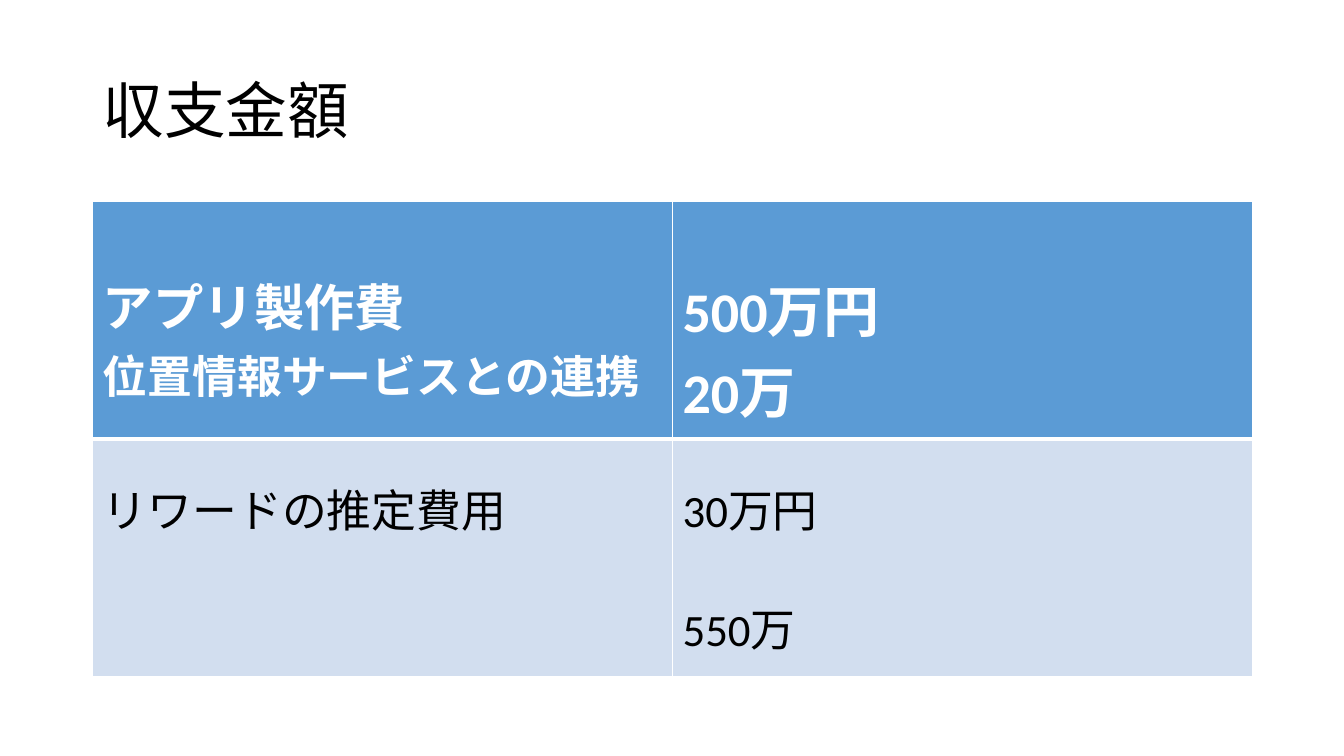
"""Build the income and expenditure slide with its cost table."""
from dataclasses import dataclass

import pptx
import pptx.dml.color
import pptx.enum.text
import pptx.oxml
import pptx.oxml.ns
import pptx.util
from pptx.util import Inches

COLORS = {"white": "FFFFFF", "black": "000000", "header": "5B9BD5", "body": "D2DEEF"}
FONT = "Calibri"


@dataclass
class Line:
    text: str
    size: int
    before: int = 0


@dataclass
class RowStyle:
    fill: str
    color: str
    bold: bool
    margin_top: float
    borders: dict[str, int]


ROWS = [
    (
        RowStyle("header", "white", True, 0.66, {"L": 1, "R": 1, "T": 1, "B": 3}),
        [
            [Line("アプリ製作費", 36), Line("位置情報サービスとの連携", 32)],
            [Line("500万円", 40), Line("20万", 40)],
        ],
    ),
    (
        RowStyle("body", "black", False, 0.36, {"L": 1, "R": 1, "T": 3, "B": 1}),
        [
            [Line("リワードの推定費用", 32)],
            [Line("30万円", 32), Line("550万", 32, before=39)],
        ],
    ),
]


def rgb(name: str) -> pptx.dml.color.RGBColor:
    return pptx.dml.color.RGBColor.from_string(COLORS[name])


def write_lines(tf, lines: list[Line], color: str, bold: bool) -> None:
    tf.text = "\n".join(line.text for line in lines)
    for p, line in zip(tf.paragraphs, lines):
        if line.before:
            p.space_before = pptx.util.Pt(line.before)
        r = p.runs[0]
        r.font.name = FONT
        r.font.size = pptx.util.Pt(line.size)
        r.font.bold = bold
        r.font.color.rgb = rgb(color)


def set_borders(cell, borders: dict[str, int]) -> None:
    tc_pr = cell._tc.get_or_add_tcPr()
    for i, (side, width) in enumerate(borders.items()):
        ln = pptx.oxml.parse_xml(
            f'<a:ln{side} {pptx.oxml.ns.nsdecls("a")} w="{pptx.util.Pt(width)}">'
            f'<a:solidFill><a:srgbClr val="{COLORS["white"]}"/></a:solidFill></a:ln{side}>'
        )
        tc_pr.insert(i, ln)


def fill_cell(cell, style: RowStyle, lines: list[Line]) -> None:
    cell.margin_top = Inches(style.margin_top)
    cell.fill.solid()
    cell.fill.fore_color.rgb = rgb(style.fill)
    set_borders(cell, style.borders)
    write_lines(cell.text_frame, lines, style.color, style.bold)


def add_title(s, text: str) -> None:
    sp = s.shapes.add_textbox(Inches(0.92), Inches(0.4), Inches(11.5), Inches(1.45))
    tf = sp.text_frame
    tf.word_wrap = True
    tf.vertical_anchor = pptx.enum.text.MSO_ANCHOR.MIDDLE
    write_lines(tf, [Line(text, 44)], "black", False)
    tf.paragraphs[0].line_spacing = 0.9


def add_cost_table(s) -> None:
    frame = s.shapes.add_table(
        len(ROWS), 2, Inches(0.92), Inches(2), Inches(11.5), Inches(4.71)
    )
    table = frame.table
    table.horz_banding = False
    for i, (style, cells) in enumerate(ROWS):
        for j, lines in enumerate(cells):
            fill_cell(table.cell(i, j), style, lines)


prs = pptx.Presentation()
prs.slide_width = Inches(13.33)
prs.slide_height = Inches(7.5)
s = prs.slides.add_slide(prs.slide_layouts[6])
add_title(s, "収支金額")
add_cost_table(s)
prs.save("out.pptx")
